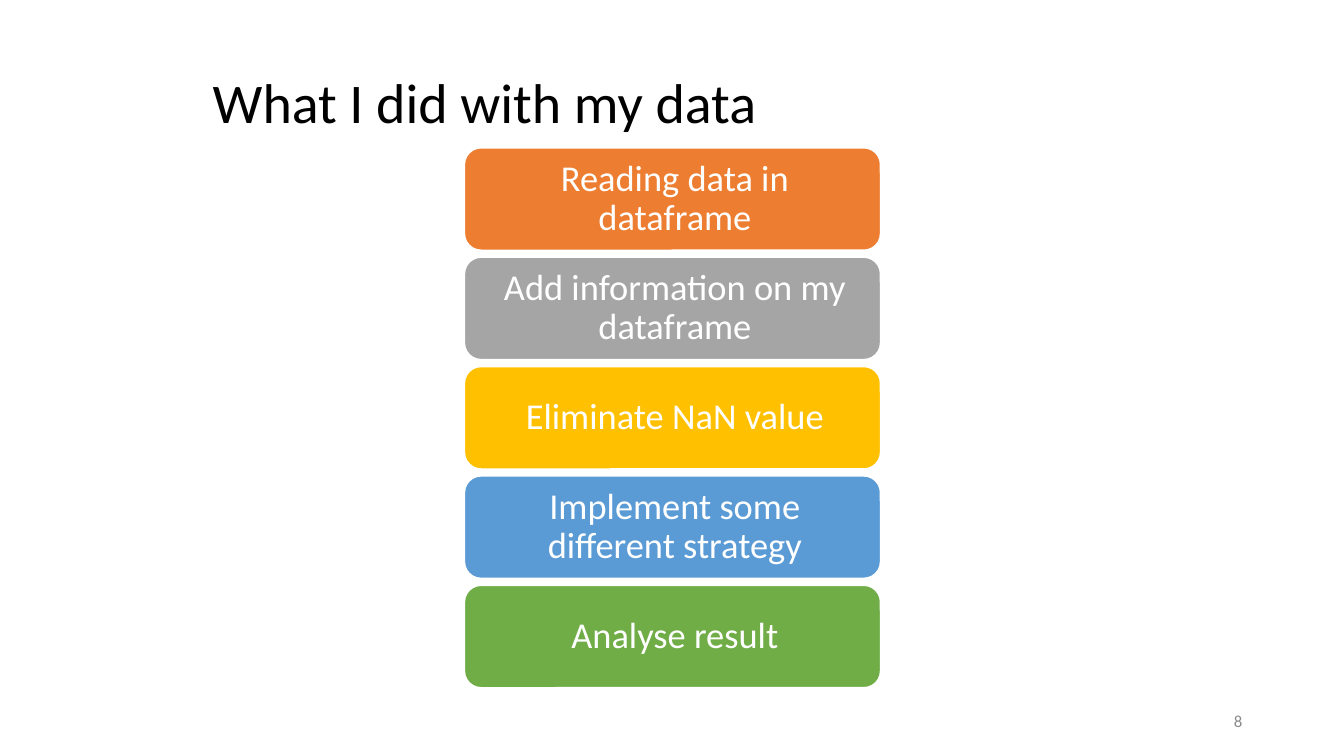
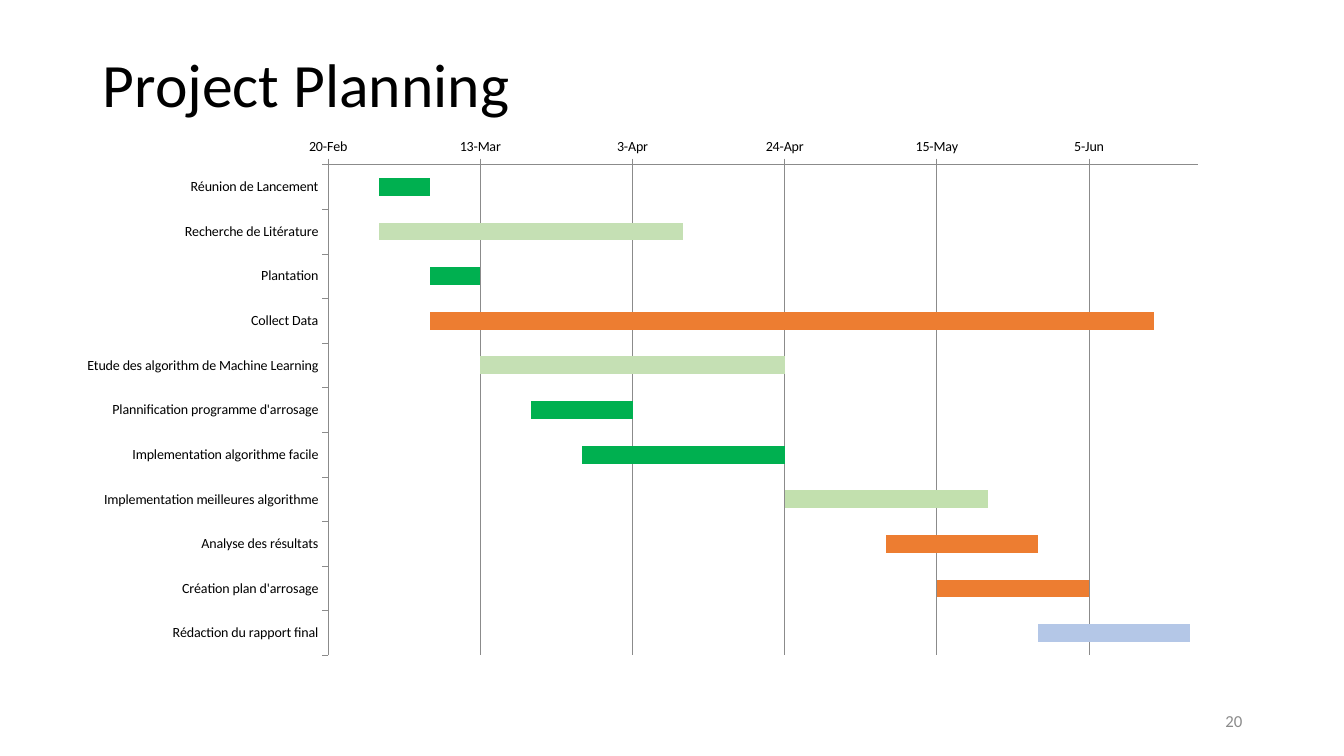
from lxml import etree
from pptx import Presentation
from pptx.chart.data import CategoryChartData
from pptx.dml.color import RGBColor
from pptx.enum.chart import XL_CHART_TYPE, XL_TICK_MARK
from pptx.enum.shapes import MSO_SHAPE
from pptx.enum.text import MSO_ANCHOR, MSO_AUTO_SIZE, PP_ALIGN
from pptx.oxml.ns import qn
from pptx.util import Inches, Pt

BARS = XL_CHART_TYPE.BAR_STACKED
OUT = XL_TICK_MARK.OUTSIDE
ROUND = MSO_SHAPE.ROUNDED_RECTANGLE
TOP, MIDDLE = MSO_ANCHOR.TOP, MSO_ANCHOR.MIDDLE
LEFT, CENTER, RIGHT = PP_ALIGN.LEFT, PP_ALIGN.CENTER, PP_ALIGN.RIGHT
FONT = "Calibri"
HUES = {
    "black": "000000", "white": "FFFFFF", "grey": "8B8B8B",
    "orange": "ED7D31", "silver": "A5A5A5", "gold": "FFC000",
    "blue": "5B9BD5", "leaf": "70AD47", "green": "00B050",
    "pale": "C5E0B4", "mint": "C2E0AE", "sky": "B4C7E7", "peach": "F4B183",
}


def hue(name):
    return RGBColor.from_string(HUES[name])


def write(shape, text, size, color, align, anchor=MIDDLE, lead=1.0, wrap=True):
    frame = shape.text_frame
    frame.word_wrap = wrap
    frame.auto_size = MSO_AUTO_SIZE.NONE
    frame.vertical_anchor = anchor
    para = frame.paragraphs[0]
    para.alignment = align
    para.line_spacing = lead
    run = para.add_run()
    run.text = text
    run.font.name = FONT
    run.font.size = Pt(size)
    run.font.color.rgb = hue(color)


deck = Presentation()
deck.slide_width = Inches(13.33)
deck.slide_height = Inches(7.5)

pages = [
    ("What I did with my data", (2.01, 0.62, 6.86, 0.76), 40, TOP, 1.0, False, "8"),
    ("Project Planning", (0.92, 0.4, 11.5, 0.93), 44, MIDDLE, 0.9, True, "20"),
]
slides = []
for text, place, size, anchor, lead, wrap, number in pages:
    slide = deck.slides.add_slide(deck.slide_layouts[5])
    title = slide.shapes.title
    title.left, title.top, title.width, title.height = map(Inches, place)
    write(title, text, size, "black", LEFT, anchor, lead, wrap)
    foot = slide.shapes.add_textbox(Inches(9.42), Inches(6.95), Inches(3), Inches(0.4))
    write(foot, number, 12, "grey", RIGHT)
    slides.append(slide)
steps, plan = slides

items = [
    ("Reading data in dataframe", "orange"),
    ("Add information on my dataframe", "silver"),
    ("Eliminate NaN value", "gold"),
    ("Implement some different strategy", "blue"),
    ("Analyse result", "leaf"),
]
first, last = 1.46, 5.8
pitch = (last - first) / (len(items) - 1)
for i, (text, color) in enumerate(items):
    box = steps.shapes.add_shape(
        ROUND, Inches(4.6), Inches(first + i * pitch), Inches(4.14), Inches(1.03))
    box.shadow.inherit = False
    box.fill.solid()
    box.fill.fore_color.rgb = hue(color)
    box.line.color.rgb = hue("white")
    box.line.width = Pt(2)
    frame = box.text_frame
    frame.margin_left, frame.margin_right = Inches(0.16), Inches(0.11)
    frame.margin_top = frame.margin_bottom = Inches(0.1)
    write(box, text, 26, "white", CENTER, lead=0.9)

tasks = [
    ("Réunion de Lancement", 43523, 7, "green"),
    ("Recherche de Litérature", 43523, 42, "pale"),
    ("Plantation", 43530, 7, "green"),
    ("Collect Data", 43530, 100, "orange"),
    ("Etude des algorithm de Machine Learning", 43537, 42, "pale"),
    ("Plannification programme d'arrosage", 43544, 14, "green"),
    ("Implementation algorithme facile", 43551, 28, "green"),
    ("Implementation meilleures algorithme", 43579, 28, "mint"),
    ("Analyse des résultats", 43593, 21, "orange"),
    ("Création plan d'arrosage", 43600, 21, "orange"),
    ("Rédaction du rapport final", 43614, 21, "sky"),
]
names, starts, days, colors = zip(*tasks)
data = CategoryChartData()
data.categories = names
data.add_series("Series 1", starts)
data.add_series("Series 2", days)
chart = plan.shapes.add_chart(
    BARS, Inches(0.61), Inches(1.26), Inches(11.5), Inches(5.35), data).chart
chart.has_legend = False
chart.has_title = False
chart.font.name = "Arial"
chart.font.size = Pt(10)
chart.font.color.rgb = hue("black")

plot = chart.plots[0]
plot.gap_width = 150
plot.overlap = 100
plot.vary_by_categories = False
start, span = plot.series
start.format.fill.background()
span.format.fill.solid()
span.format.fill.fore_color.rgb = hue("peach")
for i, color in enumerate(colors):
    fill = span.points[i].format.fill
    fill.solid()
    fill.fore_color.rgb = hue(color)

rows, dates = chart.category_axis, chart.value_axis
rows.reverse_order = True
rows.has_major_gridlines = False
dates.has_major_gridlines = True
dates.minimum_scale = 43516
dates.maximum_scale = 43636
dates.major_unit = 21
dates.tick_labels.number_format = r"D\-MMM;@"
dates.tick_labels.number_format_is_linked = False
for axis in (rows, dates):
    axis.major_tick_mark = OUT
    font = axis.tick_labels.font
    font.name = FONT
    font.size = Pt(10)
    font.color.rgb = hue("black")
for line in (rows.format.line, dates.format.line, dates.major_gridlines.format.line):
    line.color.rgb = hue("grey")
    line.width = Pt(0.5)

area = chart.element.find(".//" + qn("c:plotArea"))
layout = etree.Element(qn("c:layout"))
manual = etree.SubElement(layout, qn("c:manualLayout"))
for tag, val in (
    ("layoutTarget", "inner"), ("xMode", "edge"), ("yMode", "edge"),
    ("x", "0.23"), ("y", "0.07"), ("w", "0.75"), ("h", "0.91"),
):
    etree.SubElement(manual, qn("c:" + tag)).set("val", val)
area.insert(0, layout)

deck.save("out.pptx")
